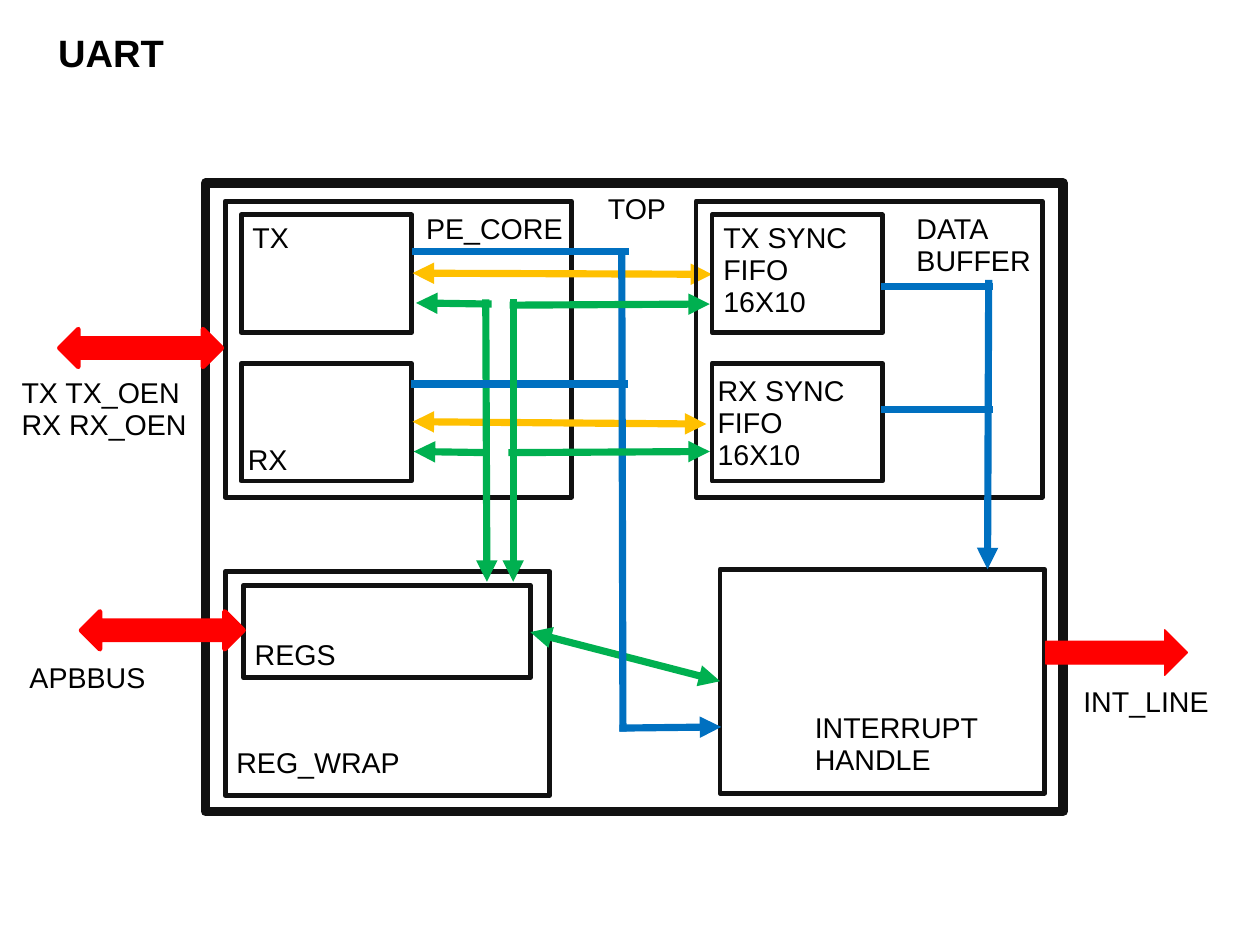
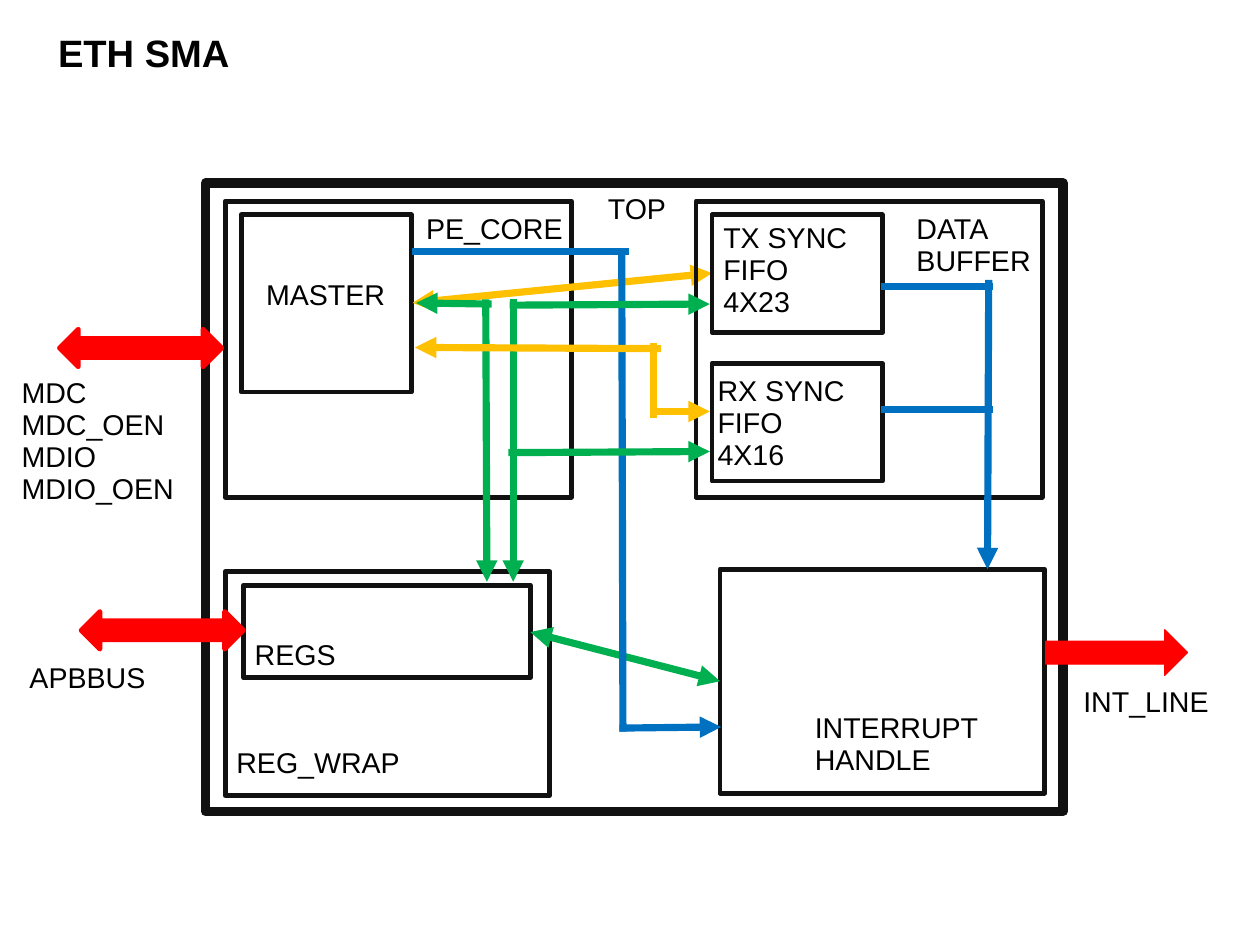
from dataclasses import dataclass

from lxml import etree
from pptx import Presentation
from pptx import util as u
from pptx.dml import color as dml
from pptx.enum import shapes
from pptx.oxml import ns


# Theme: every colour, font and size
@dataclass(frozen=True)
class Theme:
    font: str = "Arial"
    title: int = 24
    label: int = 18
    lead: float = 0.93
    ink: str = "000000"
    edge: str = "111111"
    port: str = "FF0000"
    data: str = "FFC000"
    ctrl: str = "00B050"
    stat: str = "0070C0"
    frame: float = 6
    box: float = 3
    wire: float = 4.5


T = Theme()
KIND = shapes.MSO_SHAPE
ENDS = {"<": "headEnd", ">": "tailEnd"}
INSET = dict(margin_left=0.1, margin_top=0.07, margin_right=0.1,
             margin_bottom=0.05)


def rgb(code):
    return dml.RGBColor.from_string(code)


def put(item, values):
    for name, value in values.items():
        setattr(item, name, value)


class Deck:
    """Holds the presentation, the current slide and the style."""

    def __init__(self, prs):
        self.prs = prs

    def page(self, title):
        self.slide = self.prs.slides.add_slide(self.prs.slide_layouts[6])
        self.text(0.41, 0.22, 1.79, title, size=T.title, bold=True)

    def text(self, x, y, wide, words, size=T.label, bold=False):
        lines = words.split("\n")
        high = 0.12 + len(lines) * size / 68
        area = self.slide.shapes.add_textbox(
            *map(u.Inches, (x, y, wide, high)))
        frame = area.text_frame
        put(frame, {side: u.Inches(gap) for side, gap in INSET.items()})
        frame.word_wrap = False
        for i, line in enumerate(lines):
            para = frame.add_paragraph() if i else frame.paragraphs[0]
            para.line_spacing = T.lead
            run = para.add_run()
            run.text = line
            put(run.font, dict(name=T.font, size=u.Pt(size), bold=bold))
            run.font.color.rgb = rgb(T.ink)

    def shape(self, x, y, wide, high, kind=KIND.RECTANGLE, edge=T.edge,
              weight=T.box, fill=None):
        item = self.slide.shapes.add_shape(
            kind, *map(u.Inches, (x, y, wide, high)))
        item.shadow.inherit = False
        if fill:
            item.fill.solid()
            item.fill.fore_color.rgb = rgb(fill)
        else:
            item.fill.background()
        item.line.color.rgb = rgb(edge)
        item.line.width = u.Pt(weight)

    def port(self, x, y, wide, high, kind=KIND.LEFT_RIGHT_ARROW,
             weight=T.box):
        self.shape(x, y, wide, high, kind, T.port, weight, T.port)

    def wires(self, color, *runs):
        """Each run is x1, y1, x2, y2 and its arrow ends."""
        for *ends, heads in runs:
            line = self.slide.shapes.add_connector(
                shapes.MSO_CONNECTOR.STRAIGHT, *map(u.Inches, ends))
            line.line.color.rgb = rgb(color)
            line.line.width = u.Pt(T.wire)
            props = line.element.spPr
            ln = props.find(ns.qn("a:ln"))
            ln.set("cap", "sq")
            for mark in heads:
                etree.SubElement(ln, ns.qn("a:" + ENDS[mark]),
                                 type="triangle")
            etree.SubElement(props, ns.qn("a:effectLst"))


# Geometry shared by the small blocks
UNIT_X, FIFO_X, UNIT_W, UNIT_H = 2.11, 6.23, 1.49, 1.03
ROWS = (1.88, 3.18)
PANEL = (3.03, 2.59)
BLOCK = (2.84, 1.96)


def base(deck):
    """Top frame, registers, interrupt block and outer ports."""
    deck.shape(1.8, 1.6, 7.5, 5.5, weight=T.frame)
    deck.text(5.22, 1.63, 0.86, "TOP")
    # Registers
    deck.shape(1.97, 5, *BLOCK)
    deck.shape(2.13, 5.12, 2.51, 0.81)
    deck.text(1.97, 6.47, 1.7, "REG_WRAP")
    deck.text(2.13, 5.53, 1.1, "REGS")
    deck.port(0.71, 5.35, 1.42, 0.33)
    deck.text(0.16, 5.73, 1.34, "APBBUS")
    # Interrupt
    deck.shape(6.3, 4.98, *BLOCK)
    deck.text(7.03, 6.17, 2.12, "INTERRUPT\nHANDLE")
    deck.port(9.15, 5.51, 1.24, 0.4, KIND.RIGHT_ARROW, 0.75)
    deck.text(9.38, 5.94, 1.34, "INT_LINE")


def core(deck, units, pins):
    """Core panel with its units, and the pins outside."""
    deck.shape(1.97, 1.76, *PANEL)
    for y, high, x, top, name in units:
        deck.shape(UNIT_X, y, UNIT_W, high)
        deck.text(x, top, 1.54, name)
    deck.text(3.63, 1.8, 2.12, "PE_CORE")
    deck.port(0.52, 2.88, 1.42, 0.33)
    deck.text(0.09, 3.24, 1.7, pins)


def buffer(deck, depths):
    """Data buffer panel with the two queues."""
    deck.shape(6.09, 1.76, *PANEL)
    spots = ((FIFO_X, 1.88), (6.18, 3.22))
    for y, spot, way, depth in zip(ROWS, spots, ("TX", "RX"), depths):
        deck.shape(FIFO_X, y, UNIT_W, UNIT_H)
        deck.text(*spot, 1.54, f"{way} SYNC\nFIFO\n{depth}")
    deck.text(7.92, 1.8, 1.33, "DATA\nBUFFER")


def control(deck):
    """Register wires on the core side."""
    deck.wires(T.ctrl, (6.3, 5.96, 4.64, 5.53, "<>"),
               (4.25, 2.65, 4.26, 5.09, ">"),
               (4.27, 2.66, 3.64, 2.65, ">"))


def status(deck):
    """Interrupt wires, then register wires on the buffer side."""
    deck.wires(T.stat, (3.64, 2.2, 5.47, 2.2, ""),
               (5.45, 6.37, 5.44, 2.22, ""),
               (5.45, 6.37, 6.31, 6.36, ">"),
               (8.64, 4.98, 8.65, 2.48, "<"),
               *((7.74, y, 8.66, y, "") for y in (2.51, 3.58)))
    deck.wires(T.ctrl, (4.49, 2.65, 4.49, 5.09, ">"),
               (4.49, 2.67, 6.21, 2.66, ">"),
               (4.48, 3.96, 6.21, 3.95, ">"))


def uart(deck):
    deck.page("UART")
    base(deck)
    core(deck, [(ROWS[0], UNIT_H, 2.11, 1.88, "TX"),
                (ROWS[1], UNIT_H, 2.07, 3.82, "RX")],
         "TX TX_OEN\nRX RX_OEN")
    deck.wires(T.data, (3.61, 2.39, 6.23, 2.4, "<>"))
    buffer(deck, ("16X10", "16X10"))
    deck.wires(T.data, (3.61, 3.69, 6.18, 3.71, "<>"))
    control(deck)
    deck.wires(T.ctrl, (4.25, 3.96, 3.62, 3.95, ">"))
    deck.wires(T.stat, (3.63, 3.36, 5.46, 3.36, ""))
    status(deck)


def sma(deck):
    deck.page("ETH SMA")
    base(deck)
    core(deck, [(ROWS[0], 1.55, 2.23, 2.38, "MASTER")],
         "MDC\nMDC_OEN\nMDIO\nMDIO_OEN")
    deck.wires(T.data, (3.61, 2.65, 6.23, 2.39, "<>"))
    buffer(deck, ("4X23", "4X16"))
    control(deck)
    status(deck)
    deck.wires(T.data, (3.63, 3.04, 5.75, 3.05, "<"),
               (6.21, 3.6, 5.74, 3.6, "<"),
               (5.72, 3.63, 5.72, 3.03, ""))


def main():
    prs = Presentation()
    # Page of 28 by 21 cm, about 11.02 by 8.27 inches
    prs.slide_width = u.Cm(28)
    prs.slide_height = u.Cm(21)
    deck = Deck(prs)
    uart(deck)
    sma(deck)
    prs.save("out.pptx")


if __name__ == "__main__":
    main()
